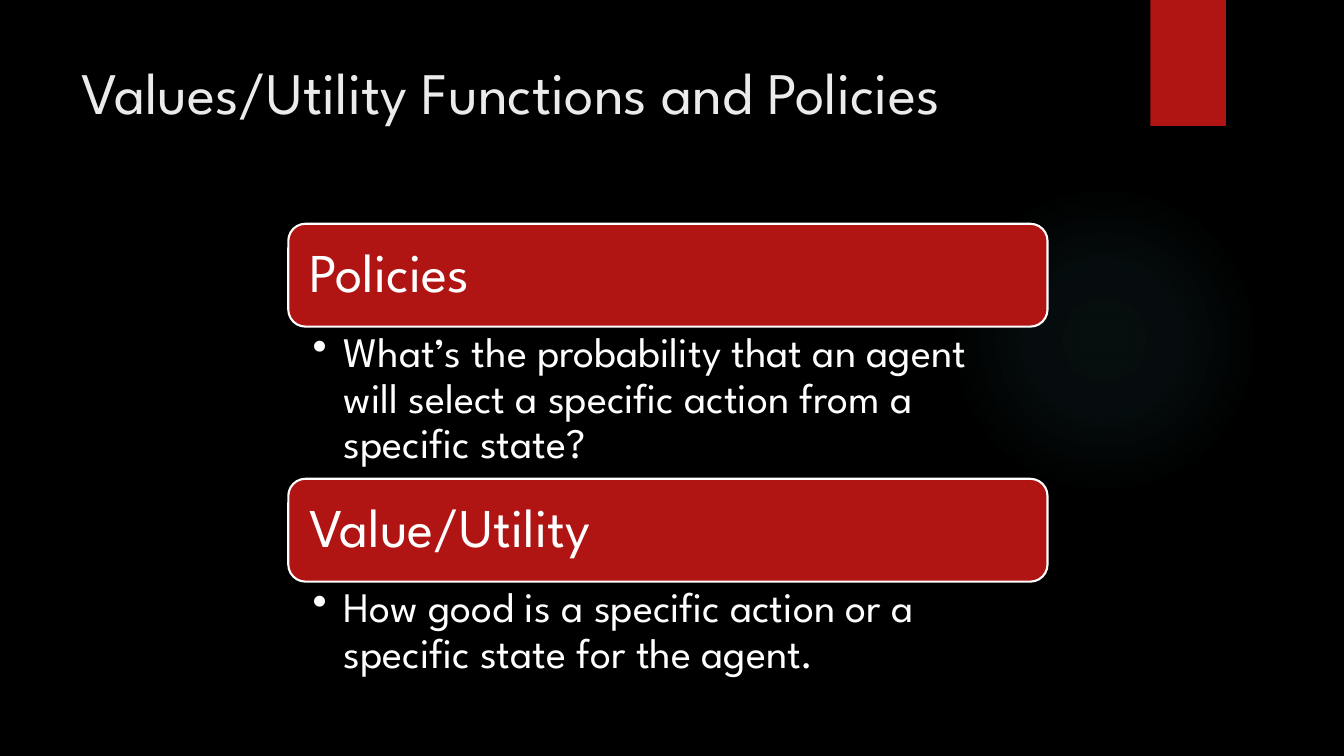
from lxml import etree
from pptx import Presentation
from pptx.dml.color import RGBColor
from pptx.enum.shapes import MSO_SHAPE as Preset
from pptx.enum.text import MSO_ANCHOR as Anchor
from pptx.oxml import parse_xml
from pptx.oxml.ns import nsdecls, qn
from pptx.util import Inches, Pt

RED, WHITE = "B01513", "FFFFFF"


def color(hex_string):
    return RGBColor.from_string(hex_string)


def add_text(box, words, size, hue, insets, anchor=Anchor.TOP, spacing=1.0):
    left, top, width, height = box
    frame = slide.shapes.add_textbox(
        Inches(left), Inches(top), Inches(width), Inches(height)).text_frame
    frame.word_wrap = True
    frame.vertical_anchor = anchor
    frame.margin_left, frame.margin_top, frame.margin_right, frame.margin_bottom = map(Inches, insets)
    paragraph = frame.paragraphs[0]
    paragraph.line_spacing = spacing
    run = paragraph.add_run()
    run.text = words
    run.font.name = "League Spartan"
    run.font.size = Pt(size)
    run.font.color.rgb = color(hue)
    return paragraph


deck = Presentation()
deck.slide_width, deck.slide_height = Inches(13.33), Inches(7.5)
slide = deck.slides.add_slide(deck.slide_layouts[6])
slide.background.fill.solid()
slide.background.fill.fore_color.rgb = color("000000")

glow = slide.shapes.add_shape(
    Preset.OVAL, Inches(9.41), Inches(1.83), Inches(3.08), Inches(3.08))
glow.shadow.inherit = False
glow.line.fill.background()
stops = "".join(
    f'<a:gs pos="{position}000"><a:srgbClr val="50B9C1"><a:alpha val="{alpha}000"/></a:srgbClr></a:gs>'
    for position, alpha in ((0, 7), (36, 6), (69, 0)))
glow.element.spPr.find(qn("a:prstGeom")).addnext(parse_xml(
    f'<a:gradFill {nsdecls("a")}><a:gsLst>{stops}</a:gsLst><a:path path="circle">'
    '<a:fillToRect l="50000" t="50000" r="50000" b="50000"/></a:path></a:gradFill>'))

ribbon = slide.shapes.add_shape(
    Preset.RECTANGLE, Inches(11.41), 0, Inches(0.75), Inches(1.25))
ribbon.shadow.inherit = False
ribbon.fill.solid()
ribbon.fill.fore_color.rgb = color(RED)
ribbon.line.fill.background()

add_text((0.71, 0.5, 10.29, 1.53), "Values/Utility Functions and Policies",
         42, "EBEBEB", (0.1, 0.05, 0.1, 0.05))

left, width, bar_height, pad = 2.86, 7.53, 1.02, 0.05
sections = (
    (2.22, "Policies", 1.5,
     "What’s the probability that an agent will select a specific action from a specific state?"),
    (4.75, "Value/Utility", 1.04,
     "How good is a specific action or a specific state for the agent."),
)
for top, heading, detail_height, detail in sections:
    bar = slide.shapes.add_shape(
        Preset.ROUNDED_RECTANGLE, Inches(left), Inches(top), Inches(width), Inches(bar_height))
    bar.shadow.inherit = False
    bar.fill.solid()
    bar.fill.fore_color.rgb = color(RED)
    bar.line.color.rgb = color(WHITE)
    bar.line.width = Pt(1.5)
    add_text((left + pad, top + pad, width - 2 * pad, bar_height - 2 * pad),
             heading, 39, WHITE, (0.16, 0.16, 0.16, 0.16), Anchor.MIDDLE, 0.9)
    bullet = add_text((left, top + bar_height, width, detail_height),
                      detail, 30, WHITE, (0.24, 0.05, 0.3, 0.05), spacing=0.9)
    bullet.level = 1
    properties = bullet._p.get_or_add_pPr()
    properties.set("marL", str(Inches(0.31)))
    properties.set("indent", str(Inches(-0.31)))
    etree.SubElement(properties, qn("a:buChar")).set("char", "•")

deck.save("out.pptx")
